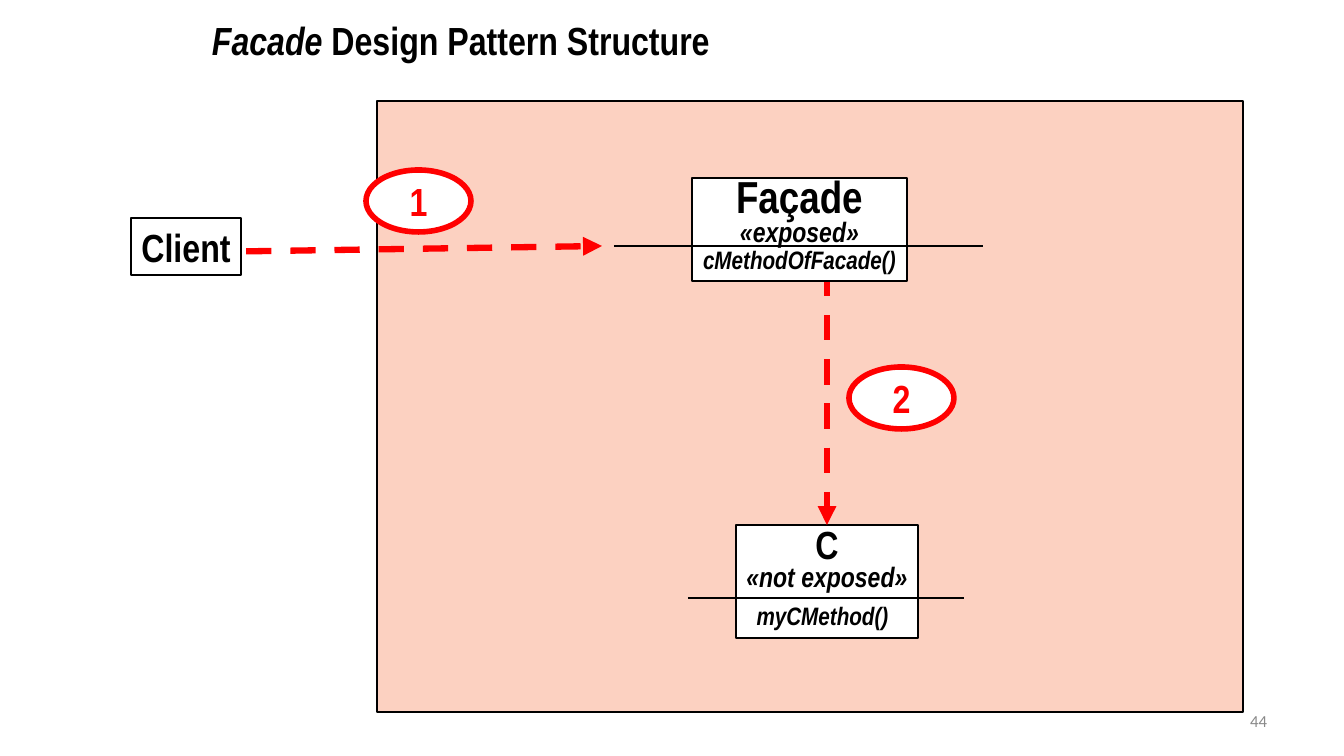
from lxml.etree import SubElement
from pptx import Presentation
from pptx.dml.color import RGBColor
from pptx.enum.dml import MSO_LINE
from pptx.enum.shapes import MSO_CONNECTOR, MSO_SHAPE
from pptx.enum.text import MSO_ANCHOR, PP_ALIGN
from pptx.oxml.ns import qn
from pptx.util import Pt

EMU_PER_PX = 914400 / 100.8
BLACK, WHITE, RED, SALMON, GREY = "000000", "FFFFFF", "FF0000", "FCD1C1", "898989"
NARROW = "Arial Narrow"


def px(length):
    """Turn pixels into EMU."""
    return round(length * EMU_PER_PX)


def rgb(color):
    """Turn a hex string into a colour."""
    return RGBColor.from_string(color)


def style(run, size, color=BLACK, italic=False, bold=True, face=NARROW):
    """Format one run."""
    run.font.size, run.font.name = Pt(size), face
    run.font.bold, run.font.italic = bold, italic
    run.font.color.rgb = rgb(color)


def add_panel(slide, box, kind=MSO_SHAPE.RECTANGLE, fill=WHITE, line=BLACK, width=1.5):
    """Add a filled, outlined shape."""
    panel = slide.shapes.add_shape(kind, *map(px, box))
    panel.shadow.inherit = False
    panel.fill.solid()
    panel.fill.fore_color.rgb = rgb(fill)
    panel.line.color.rgb = rgb(line)
    panel.line.width = Pt(width)
    return panel


def add_label(slide, box, text, color=BLACK, **look):
    """Add a shape with one centred bold line."""
    label = add_panel(slide, box, **look)
    frame = label.text_frame
    frame.word_wrap = False
    frame.vertical_anchor = MSO_ANCHOR.MIDDLE
    frame.text = text
    frame.paragraphs[0].alignment = PP_ALIGN.CENTER
    style(frame.paragraphs[0].runs[0], 28, color)
    return label


def add_step(slide, box, number):
    """Add a numbered red oval."""
    add_label(slide, box, number, RED, kind=MSO_SHAPE.OVAL, line=RED, width=4)


def add_line(slide, start, end, color=BLACK, width=1.5):
    """Add a straight line without shadow."""
    line = slide.shapes.add_connector(MSO_CONNECTOR.STRAIGHT, *map(px, start + end))
    line.line.color.rgb = rgb(color)
    line.line.width = Pt(width)
    SubElement(line._element.spPr, qn("a:effectLst"))
    return line


def add_call(slide, start, end):
    """Add a dashed red arrow."""
    call = add_line(slide, start, end, RED, 4.5)
    call.line.dash_style = MSO_LINE.DASH
    SubElement(call.line._get_or_add_ln(), qn("a:tailEnd"), type="triangle")
    return call


def add_class(slide, box, name, name_size, stereotype, method, method_spacing, tail_size=None):
    """Add a class box with name, stereotype and method."""
    class_box = add_panel(slide, box)
    frame = class_box.text_frame
    frame.word_wrap = False
    frame.vertical_anchor = MSO_ANCHOR.MIDDLE
    frame.margin_top = px(15)
    frame.text = "\n".join((name, stereotype, method))
    rows = ((name_size, 0, 0.4), (20, 10, 0.4), (18, (tail_size or 18) / 2, method_spacing))
    for row, (paragraph, (size, before, spacing)) in enumerate(zip(frame.paragraphs, rows)):
        paragraph.alignment = PP_ALIGN.CENTER
        paragraph.line_spacing = spacing
        if row:
            paragraph.space_before = Pt(before)
        style(paragraph.runs[0], size, italic=row > 0)
    if tail_size:
        tail = frame.paragraphs[-1].add_run()
        tail.text = " "
        style(tail, tail_size)
    return class_box


def add_title(slide, box):
    """Add the slide title."""
    frame = slide.shapes.add_textbox(*map(px, box)).text_frame
    frame.word_wrap = True
    paragraph = frame.paragraphs[0]
    paragraph.line_spacing = 0.9
    for text, italic in (("Facade ", True), ("Design Pattern Structure", False)):
        run = paragraph.add_run()
        run.text = text
        style(run, 28, italic=italic)


def add_page_number(slide, box, number):
    """Add the page number at the right of its box."""
    frame = slide.shapes.add_textbox(*map(px, box)).text_frame
    frame.word_wrap = True
    frame.vertical_anchor = MSO_ANCHOR.MIDDLE
    frame.text = number
    frame.paragraphs[0].alignment = PP_ALIGN.RIGHT
    style(frame.paragraphs[0].runs[0], 12, GREY, bold=False, face="Calibri")


def add_diagram(slide, box):
    """Add the package with its classes, and the client calling it."""
    left, top, width, height = box
    add_panel(slide, box, fill=SALMON)
    hidden = add_class(slide, (left + 359, top + 424, 182, 113),
                       "C", 28, "«not exposed»", "myCMethod()", 0.4, 28)
    inner_call = add_call(slide, (left + 450, top + 170), (left + 450, top + 424))
    inner_call.end_connect(hidden, 0)
    add_class(slide, (left + 315, top + 77, 215, 103),
              "Façade", 32, "«exposed»", "cMethodOfFacade()", 0.5)
    add_call(slide, (left - 175, top + 151), (left + 225, top + 145))
    add_label(slide, (left - 246, top + 117, 110, 57), "Client")
    for number, (x, y) in enumerate(((-11, 69), (472, 266)), 1):
        add_step(slide, (left + x, top + y, 105, 62), str(number))
    for start, end, y in ((237, 606, 145), (311, 587, 497)):
        add_line(slide, (left + start, top + y), (left + end, top + y))


def main():
    """Build and save the slide."""
    deck = Presentation()
    deck.slide_width, deck.slide_height = px(1344), px(756)
    slide = deck.slides.add_slide(deck.slide_layouts[6])
    add_title(slide, (202, 17, 907, 58))
    add_diagram(slide, (377, 101, 866, 611))
    add_page_number(slide, (964, 701, 313, 40), "44")
    deck.save("out.pptx")


if __name__ == "__main__":
    main()
